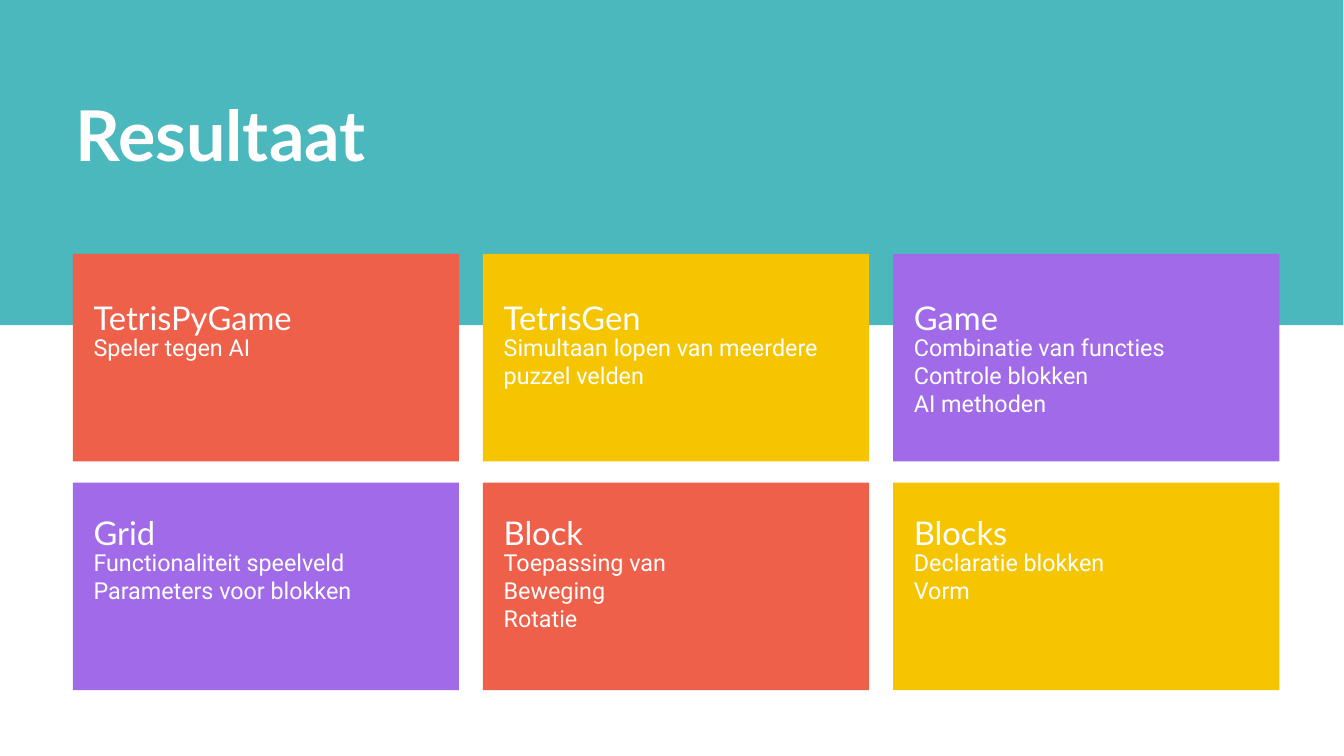
from dataclasses import dataclass

from pptx import Presentation
from pptx.dml.color import RGBColor
from pptx.enum.shapes import MSO_SHAPE
from pptx.enum.text import MSO_ANCHOR, MSO_AUTO_SIZE, PP_ALIGN
from pptx.util import Pt


@dataclass(frozen=True)
class Theme:
    teal: str = "4BB8BE"
    coral: str = "EE604A"
    yellow: str = "F4C500"
    purple: str = "A16AE8"
    white: str = "FFFFFF"
    heading_font: str = "Lato"
    body_font: str = "Roboto"
    title_size: int = 75
    heading_size: int = 35
    body_size: int = 25


class SlideBuilder:
    def __init__(self, slide, theme):
        self.slide = slide
        self.theme = theme

    def block(self, left, top, width, height, color):
        rect = self.slide.shapes.add_shape(
            MSO_SHAPE.RECTANGLE, Pt(left), Pt(top), Pt(width), Pt(height))
        rect.shadow.inherit = False
        rect.fill.solid()
        rect.fill.fore_color.rgb = RGBColor.from_string(color)
        rect.line.fill.background()

    def set_text(self, holder, text, font, size, spacing=1.0, bold=False):
        frame = holder.text_frame
        frame.word_wrap = True
        frame.auto_size = MSO_AUTO_SIZE.NONE
        frame.vertical_anchor = MSO_ANCHOR.TOP
        frame.margin_left = frame.margin_right = Pt(0)
        frame.margin_top = frame.margin_bottom = Pt(0)
        frame.text = text
        for paragraph in frame.paragraphs:
            paragraph.alignment = PP_ALIGN.LEFT
            paragraph.line_spacing = spacing
            paragraph.space_before = Pt(0)
            for run in paragraph.runs:
                run.font.name = font
                run.font.size = Pt(size)
                run.font.bold = bold
                run.font.color.rgb = RGBColor.from_string(self.theme.white)

    def title(self, text, left, top, width, height):
        title = self.slide.shapes.title
        title.left, title.top = Pt(left), Pt(top)
        title.width, title.height = Pt(width), Pt(height)
        self.set_text(title, text, self.theme.heading_font,
                      self.theme.title_size, spacing=1.2, bold=True)
        # Bring the title in front of the band drawn before it
        self.slide.shapes.element.append(title.element)

    def caption(self, heading, lines, left, top, width):
        theme = self.theme
        caption = self.slide.shapes.add_group_shape().shapes
        name = caption.add_textbox(Pt(left), Pt(top), Pt(width), Pt(51))
        self.set_text(name, heading, theme.heading_font, theme.heading_size, spacing=1.2)
        details = caption.add_textbox(
            Pt(left), Pt(top + 46.8), Pt(width), Pt(30.2 * max(len(lines), 2)))
        self.set_text(details, "\n".join(lines), theme.body_font, theme.body_size)


def main():
    theme = Theme()
    deck = Presentation()
    deck.slide_width, deck.slide_height = Pt(1440), Pt(810)
    builder = SlideBuilder(deck.slides.add_slide(deck.slide_layouts[5]), theme)

    # Header band and title
    builder.block(0, 0, 1439.5, 348.5, theme.teal)
    builder.title("Resultaat", 80.8, 80, 894, 108.7)

    # Cards: three columns, two rows
    cards = [
        ("TetrisPyGame", ["Speler tegen AI"], theme.coral),
        ("TetrisGen", ["Simultaan lopen van meerdere puzzel velden"], theme.yellow),
        ("Game", ["Combinatie van functies", "Controle blokken", "AI methoden"],
         theme.purple),
        ("Grid", ["Functionaliteit speelveld", "Parameters voor blokken"], theme.purple),
        ("Block", ["Toepassing van", "Beweging", "Rotatie"], theme.coral),
        ("Blocks", ["Declaratie blokken", "Vorm"], theme.yellow),
    ]
    columns = 3
    card_width, card_height = 413.8, 222.4
    column_step, row_step = 439.5, 245
    caption_tops = (310.4, 540.8)
    for index, (heading, lines, color) in enumerate(cards):
        row, column = divmod(index, columns)
        left = 78 + column * column_step
        builder.block(left, 272 + row * row_step, card_width, card_height, color)
        builder.caption(heading, lines, left + 22.2, caption_tops[row], 361)

    deck.save("out.pptx")


if __name__ == "__main__":
    main()
